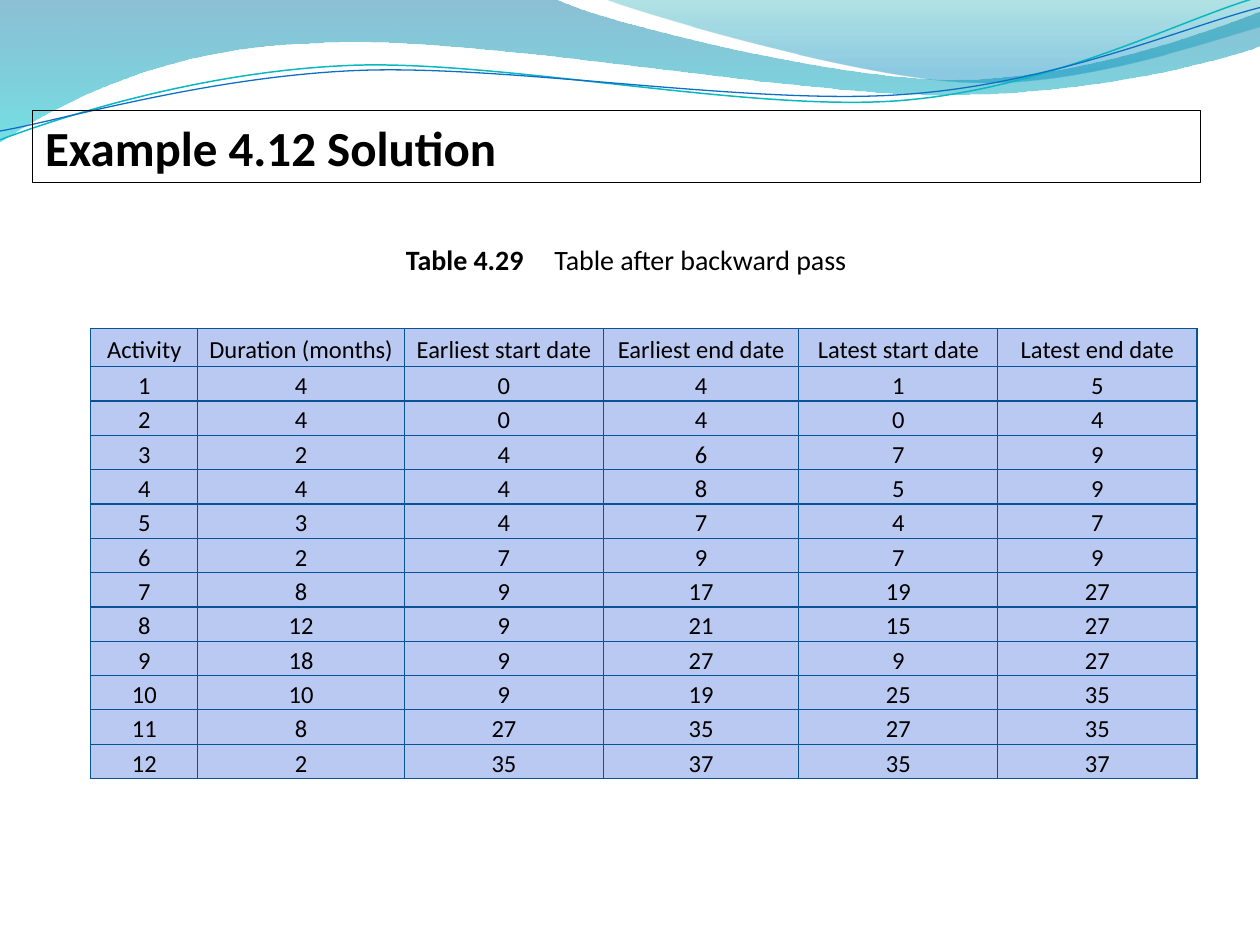
"""Build the slide with the table after the backward pass."""
from lxml.etree import SubElement
from pptx import Presentation
from pptx.dml.color import RGBColor
from pptx.enum.shapes import MSO_SHAPE
from pptx.enum.text import MSO_ANCHOR, PP_ALIGN
from pptx.oxml.ns import qn
from pptx.util import Inches, Pt

TITLE = "Example 4.12 Solution"
CAPTION = [("Table 4.29", True, 0), (" ", True, 1400),
           ("Table after backward pass", False, 0)]
HEADS = ["Activity", "Duration (months)", "Earliest start date",
         "Earliest end date", "Latest start date", "Latest end date"]
ROWS = [
    (1, 4, 0, 4, 1, 5),
    (2, 4, 0, 4, 0, 4),
    (3, 2, 4, 6, 7, 9),
    (4, 4, 4, 8, 5, 9),
    (5, 3, 4, 7, 4, 7),
    (6, 2, 7, 9, 7, 9),
    (7, 8, 9, 17, 19, 27),
    (8, 12, 9, 21, 15, 27),
    (9, 18, 9, 27, 9, 27),
    (10, 10, 9, 19, 25, 35),
    (11, 8, 27, 35, 27, 35),
    (12, 2, 35, 37, 35, 37),
]
WIDTHS = [0.85, 1.64, 1.58, 1.55, 1.58, 1.58]
HEAD_H, ROW_H = 0.3, 0.26
BLACK, EDGE, CELL = "000000", "095295", "BAC9F2"

BANDS = [
    ([(0, 0), (4.4, -0.01),
      (4.76, 0.17, 6.64, 0.63, 7.58, 0.63),
      (8.53, 0.63, 9.58, 0.26, 10, 0.09), (10.01, 0.36),
      (9.83, 0.44, 8.7, 0.76, 7.46, 0.75),
      (6.22, 0.75, 3.82, 0.28, 2.57, 0.34),
      (1.29, 0.36, 0.46, 0.83, -0.01, 1.13), (0, 0)],
     [(0, "0074A1", 45), (1, "00C6CF", 55)]),
    ([(4.79, -0.01),
      (5.09, 0.11, 6.82, 0.62, 7.69, 0.65),
      (8.56, 0.69, 9.61, 0.32, 10, 0.21), (10, 0), (4.79, -0.01)],
     [(0, "00A1A9", 30), (0.8, "008BBF", 45)]),
]
WAVES = [
    ([(0, 1.11),
      (0.48, 0.93, 1.58, 0.57, 2.77, 0.52),
      (3.95, 0.47, 5.93, 0.89, 7.13, 0.8),
      (8.33, 0.71, 9.38, 0.15, 9.98, -0.02)], "0AB8BF", 0.85),
    ([(0, 1.04),
      (0.47, 0.96, 1.64, 0.61, 2.83, 0.56),
      (4.03, 0.51, 5.97, 0.84, 7.17, 0.75),
      (8.36, 0.67, 9.41, 0.21, 10, 0.06)], "0F6FC6", 0.75),
]


def color(code):
    """Turn a hex string into a colour."""
    return RGBColor.from_string(code)


def draw(slide, path, close):
    """Add a freeform of straight lines and Bezier curves."""
    pts = [(Inches(part[i]), Inches(part[i + 1]))
           for part in path for i in range(0, len(part), 2)]
    pen = slide.shapes.build_freeform(*pts[0], scale=1.0)
    pen.add_line_segments(pts[1:], close=close)
    shape = pen.convert_to_shape()
    shape.shadow.inherit = False
    lines = iter(list(shape.element.spPr.iter(qn("a:lnTo"))))
    for part in path[1:]:
        line = next(lines)
        if len(part) == 6:
            line.tag = qn("a:cubicBezTo")
            for extra in (next(lines), next(lines)):
                line.append(extra[0])
                extra.getparent().remove(extra)
    return shape


def add_band(slide, path, stops):
    """Add a wave filled with a see-through gradient."""
    shape = draw(slide, path, True)
    shape.line.fill.background()
    shape.fill.gradient()
    shape.fill.gradient_angle = 270
    for stop, (pos, code, alpha) in zip(shape.fill.gradient_stops, stops):
        stop.position = pos
        stop.color.rgb = color(code)
    tags = shape.element.spPr.iter(qn("a:srgbClr"))
    for tag, (pos, code, alpha) in zip(tags, stops):
        SubElement(tag, qn("a:alpha"), val=str(alpha * 1000))


def add_wave(slide, path, code, width):
    """Add a thin open curve."""
    shape = draw(slide, path, False)
    shape.fill.background()
    shape.line.color.rgb = color(code)
    shape.line.width = Pt(width)


def add_run(para, text, size, bold=False, gap=0):
    """Add one run of black text."""
    run = para.add_run()
    run.text = text
    font = run.font
    font.name, font.size, font.bold = "Calibri", Pt(size), bold
    font.color.rgb = color(BLACK)
    if gap:
        run._r.get_or_add_rPr().set("spc", str(gap))


def add_title(slide):
    """Add the outlined title box."""
    box = slide.shapes.add_shape(
        MSO_SHAPE.RECTANGLE, Inches(0.26), Inches(0.88), Inches(9.27), Inches(0.57))
    box.shadow.inherit = False
    box.fill.background()
    box.line.color.rgb = color(BLACK)
    box.line.width = Pt(0.75)
    para = box.text_frame.paragraphs[0]
    para.alignment = PP_ALIGN.LEFT
    add_run(para, TITLE, 28, True)


def add_caption(slide):
    """Add the centred table caption."""
    box = slide.shapes.add_textbox(
        Inches(2.55), Inches(1.88), Inches(4.84), Inches(0.37))
    box.text_frame.word_wrap = True
    para = box.text_frame.paragraphs[0]
    para.alignment = PP_ALIGN.CENTER
    for text, bold, gap in CAPTION:
        add_run(para, text, 16, bold, gap)


def fill_cell(cell, text):
    """Style one cell and write its text."""
    cell.margin_left = cell.margin_right = Inches(0.07)
    cell.margin_top = cell.margin_bottom = 0
    cell.vertical_anchor = MSO_ANCHOR.MIDDLE
    props = cell._tc.get_or_add_tcPr()
    for side in ("lnL", "lnR", "lnT", "lnB"):
        line = SubElement(props, qn(f"a:{side}"), w=str(Pt(0.75)))
        SubElement(SubElement(line, qn("a:solidFill")), qn("a:srgbClr"), val=EDGE)
    cell.fill.solid()
    cell.fill.fore_color.rgb = color(CELL)
    para = cell.text_frame.paragraphs[0]
    para.alignment = PP_ALIGN.CENTER
    para.line_spacing = 1.15
    add_run(para, text, 14)


def add_grid(slide):
    """Add the table of dates."""
    data = [HEADS, *ROWS]
    high = HEAD_H + ROW_H * len(ROWS)
    grid = slide.shapes.add_table(
        len(data), len(HEADS), Inches(0.72), Inches(2.61),
        Inches(sum(WIDTHS)), Inches(high)).table
    for col, width in zip(grid.columns, WIDTHS):
        col.width = Inches(width)
    for i, (row, vals) in enumerate(zip(grid.rows, data)):
        row.height = Inches(ROW_H if i else HEAD_H)
        for cell, val in zip(row.cells, vals):
            fill_cell(cell, str(val))


def main():
    """Build and save the slide."""
    deck = Presentation()
    deck.slide_width, deck.slide_height = Inches(10), Inches(7.5)
    slide = deck.slides.add_slide(deck.slide_layouts[6])
    for band in BANDS:
        add_band(slide, *band)
    for wave in WAVES:
        add_wave(slide, *wave)
    add_title(slide)
    add_grid(slide)
    add_caption(slide)
    deck.save("out.pptx")


if __name__ == "__main__":
    main()
